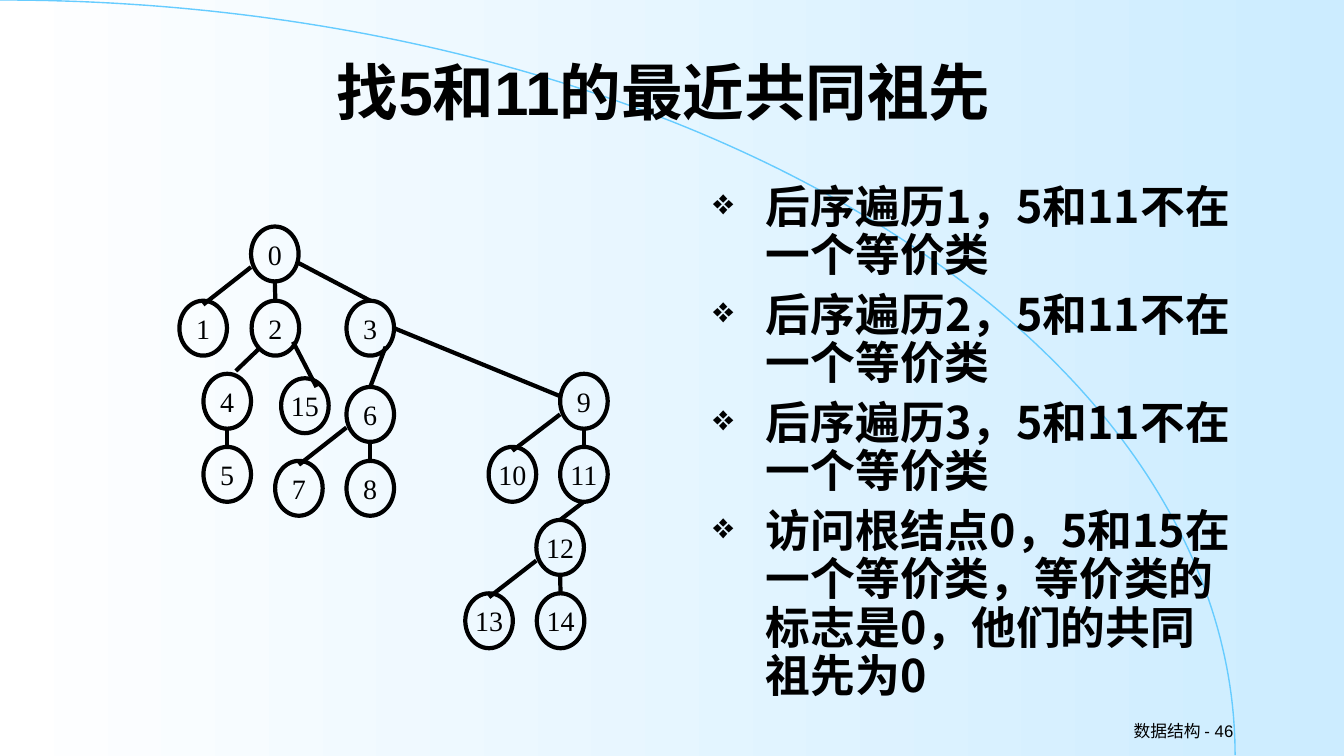
from math import cos, pi, sin

from lxml.etree import SubElement
from pptx import Presentation
from pptx.dml.color import RGBColor
from pptx.enum.shapes import MSO_CONNECTOR, MSO_SHAPE
from pptx.enum.text import MSO_ANCHOR, PP_ALIGN
from pptx.oxml.ns import qn
from pptx.util import Pt

NODE_W, NODE_H = 34, 39.2


def color(hex_string):
    return RGBColor.from_string(hex_string)


def apply(target, values):
    for key, value in values.items():
        setattr(target, key, value)


class TreeSlide:
    ink = "000000"
    arc_color = "66CCFF"
    cjk_font = "Noto Sans CJK SC"

    def __init__(self, slide):
        self.slide = slide

    def background(self, start, end):
        fill = self.slide.background.fill
        fill.gradient()
        fill.gradient_angle = 0
        for stop, position, shade in zip(fill.gradient_stops, (0, 1), (start, end)):
            stop.position = position
            stop.color.rgb = color(shade)

    def arc(self, width, height, steps=120):
        angles = [pi / 2 * i / steps for i in range(steps + 1)]
        points = [(Pt(width * sin(a)), Pt(height * (1 - cos(a)))) for a in angles]
        builder = self.slide.shapes.build_freeform(0, 0)
        builder.add_line_segments(points[1:], close=False)
        curve = builder.convert_to_shape()
        curve.shadow.inherit = False
        curve.fill.background()
        self.outline(curve, self.arc_color, 1)

    def outline(self, shape, shade, width):
        shape.line.color.rgb = color(shade)
        shape.line.width = Pt(width)

    def styled_run(self, paragraph, text, font, paragraph_format):
        apply(paragraph, paragraph_format)
        run = paragraph.add_run()
        run.text = text
        apply(run.font, font)
        run.font.color.rgb = color(self.ink)
        SubElement(run.font._element, qn("a:ea"), typeface=self.cjk_font)

    def text(self, box, lines, font, paragraph_format, anchor, bullet=None):
        frame = self.slide.shapes.add_textbox(*map(Pt, box)).text_frame
        apply(frame, {"word_wrap": True, "vertical_anchor": anchor})
        for i, line in enumerate(lines):
            paragraph = frame.add_paragraph() if i else frame.paragraphs[0]
            self.styled_run(paragraph, line, font, paragraph_format)
            if bullet:
                self.bullet(paragraph, bullet)

    def bullet(self, paragraph, char, indent=37.5):
        properties = paragraph._p.get_or_add_pPr()
        properties.set("marL", str(Pt(indent)))
        properties.set("indent", str(-Pt(indent)))
        shade = SubElement(properties, qn("a:buClr"))
        SubElement(shade, qn("a:srgbClr"), val=self.ink)
        SubElement(properties, qn("a:buSzPct"), val="80000")
        SubElement(properties, qn("a:buChar"), char=char)

    def node(self, label, x, y):
        box = (x - NODE_W / 2, y - NODE_H / 2, NODE_W, NODE_H)
        oval = self.slide.shapes.add_shape(MSO_SHAPE.OVAL, *map(Pt, box))
        oval.shadow.inherit = False
        oval.fill.background()
        self.outline(oval, self.ink, 3)
        margins = dict.fromkeys(
            ("margin_left", "margin_top", "margin_right", "margin_bottom"), 0)
        apply(oval.text_frame, {**margins, "word_wrap": False,
                                "vertical_anchor": MSO_ANCHOR.MIDDLE})
        self.styled_run(oval.text_frame.paragraphs[0], str(label),
                        {"name": "Times New Roman", "size": Pt(20)},
                        {"alignment": PP_ALIGN.CENTER})

    def edge(self, parent, child, start, end):
        ends = (parent[0] + start[0], parent[1] + start[1],
                child[0] + end[0], child[1] + end[1])
        line = self.slide.shapes.add_connector(MSO_CONNECTOR.STRAIGHT, *map(Pt, ends))
        self.outline(line, self.ink, 3)
        SubElement(line._element.spPr, qn("a:effectLst"))


# Node centres
NODES = {
    0: (196.4, 181.4), 1: (145.2, 234.4), 2: (196.8, 234.4), 3: (264.6, 234.4),
    4: (162.4, 286.6), 5: (162.4, 338.8), 6: (264.6, 296), 7: (213.6, 348.8),
    8: (264.6, 348.8), 9: (417.3, 286.6), 10: (366.2, 338.8), 11: (417.3, 338.8),
    12: (400.3, 391), 13: (349.5, 443.4), 14: (400.6, 443.4), 15: (217.9, 289.8),
}

# Edge ends, as offsets from the node centres
TOP, BOTTOM = (0, -NODE_H / 2), (0, NODE_H / 2)
LOWER_LEFT, BELOW_TOP = (-NODE_W / 2, 9.4), (0, -16.8)
EDGES = [(p, c, BOTTOM, TOP)
         for p, c in ((0, 2), (4, 5), (6, 8), (9, 11), (11, 12), (12, 14))]
EDGES += [(p, c, LOWER_LEFT, BELOW_TOP)
          for p, c in ((0, 1), (6, 7), (9, 10), (12, 13))]
EDGES += [
    (0, 3, (NODE_W / 2, 6.5), TOP),
    (2, 4, (-11.8, 14.8), (6.1, -21.6)),
    (2, 15, (12.6, 9.7), (8.3, -13.3)),
    (3, 6, (11, 13.3), TOP),
    (3, 9, (NODE_W / 2, 0), (-NODE_W / 2, -3.6)),
]

STEPS = [f"后序遍历{visited}，5和11不在一个等价类" for visited in (1, 2, 3)]
STEPS.append("访问根结点0，5和15在一个等价类，等价类的标志是0，他们的共同祖先为0")


def main():
    deck = Presentation()
    apply(deck, {"slide_width": Pt(960.5), "slide_height": Pt(540)})
    page = TreeSlide(deck.slides.add_slide(deck.slide_layouts[6]))

    # Backdrop and footer
    page.background("FFFFFF", "CCECFF")
    page.arc(882.7, 539.3)
    page.text((688.3, 509.8, 200.2, 23.8), ["数据结构 - 46"],
              {"name": "Arial", "size": Pt(12)},
              {"alignment": PP_ALIGN.RIGHT}, MSO_ANCHOR.MIDDLE)

    # Title and traversal steps
    page.text((168.5, 20.2, 612, 90), ["找5和11的最近共同祖先"],
              {"name": "Arial", "size": Pt(44), "bold": True},
              {"alignment": PP_ALIGN.CENTER}, MSO_ANCHOR.MIDDLE)
    page.text((502.6, 128.2, 385.2, 391), STEPS,
              {"name": page.cjk_font, "size": Pt(32), "bold": True},
              {"line_spacing": 0.9, "space_before": Pt(8)}, MSO_ANCHOR.TOP, "❖")

    # Tree
    for label, centre in NODES.items():
        page.node(label, *centre)
    for parent, child, start, end in EDGES:
        page.edge(NODES[parent], NODES[child], start, end)

    deck.save("out.pptx")


if __name__ == "__main__":
    main()
